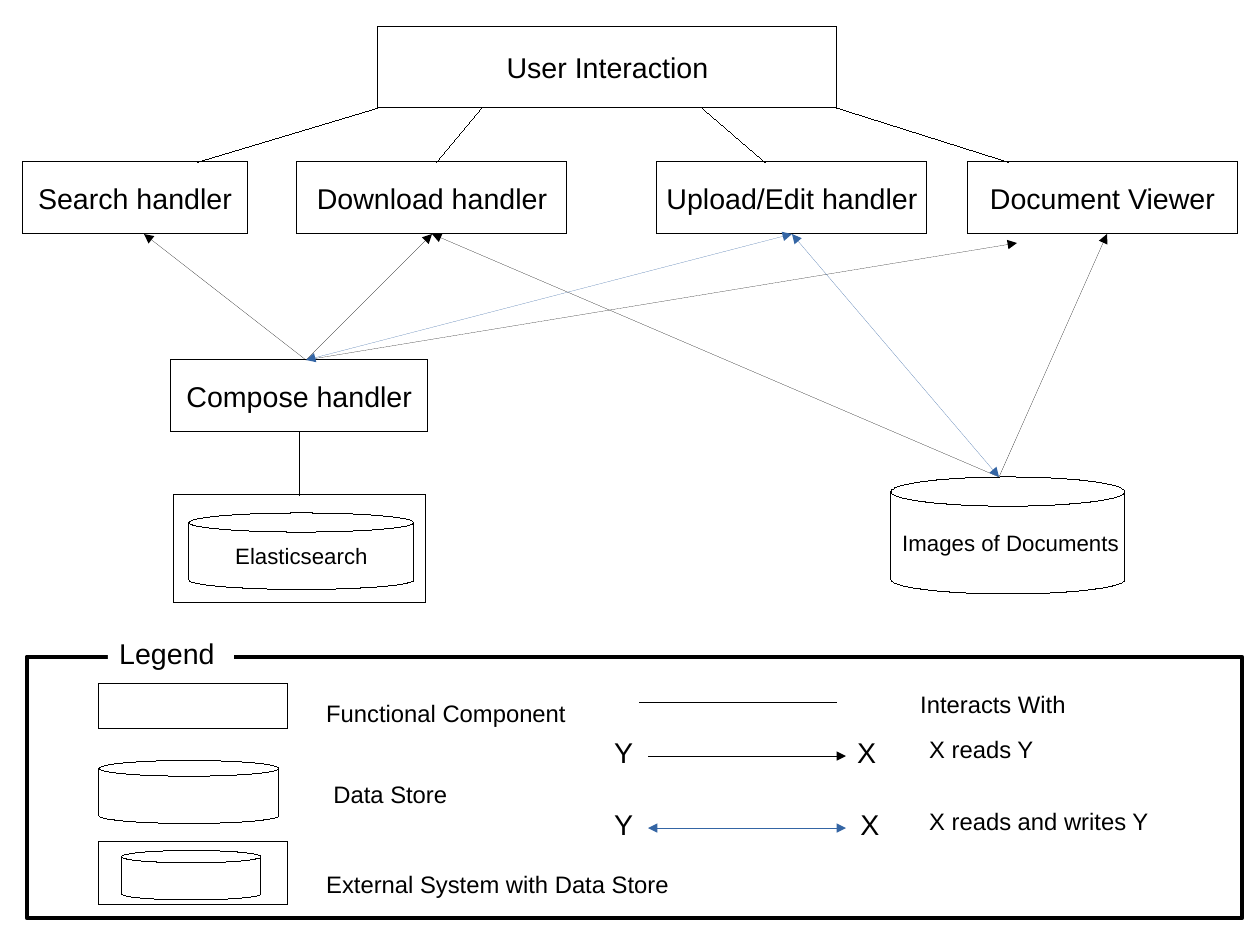
import pptx
import pptx.util
import pptx.dml.color
import pptx.enum.shapes
import pptx.enum.text
import pptx.oxml.ns
from lxml import etree

# The slide is a grid of 280 columns by 210 rows, one millimetre each
COLUMNS, ROWS = 280, 210
COLORS = {"ink": "000000", "write": "3465A4", "paper": "FFFFFF"}
FONT = "Arial"
TOP, BOTTOM = 0, 2

# Functional components: text, (column, row, columns, rows)
COMPONENTS = [
    ("User Interaction", (84, 6, 102, 18)),
    ("Search handler", (5, 36, 50, 16)),
    ("Download handler", (66, 36, 60, 16)),
    ("Upload/Edit handler", (146, 36, 60, 16)),
    ("Document Viewer", (215, 36, 60, 16)),
    ("Compose handler", (38, 80, 57, 16)),
]
EXTERNAL_SYSTEM = (38.5, 110, 56, 24)
STORES = [
    ("Elasticsearch", (42, 114, 50, 17), "CENTER"),
    ("Images of Documents", (198, 106, 52, 26), "LEFT"),
]

# Links: from, to, kind; an end is a grid point or (component, side)
COMPOSE, IMAGES = (68, 80), (222, 106)
LINKS = [
    ((84, 24), (44, 36), "interacts"),
    ((107, 24), (97, 36), "interacts"),
    ((156, 24), (170, 36), "interacts"),
    ((186, 24), (224, 36), "interacts"),
    (("Compose handler", BOTTOM), ("External system", TOP), "interacts"),
    (COMPOSE, (32, 52), "reads"),
    (COMPOSE, ("Download handler", BOTTOM), "reads"),
    (COMPOSE, (226, 54), "reads"),
    (IMAGES, ("Download handler", BOTTOM), "reads"),
    (IMAGES, (246, 52), "reads"),
    (COMPOSE, ("Upload/Edit handler", BOTTOM), "writes"),
    (IMAGES, ("Upload/Edit handler", BOTTOM), "writes"),
]
KINDS = {  # colour, arrowheads
    "interacts": ("ink", []),
    "reads": ("ink", ["tailEnd"]),
    "writes": ("write", ["headEnd", "tailEnd"]),
}

# Legend
LEGEND_FRAME = (6, 146, 270, 58)
LEGEND_TITLE = ("Legend", (24, 140, 28, 9.7))
LEGEND_SHAPES = [
    ("RECTANGLE", (22, 152, 42, 10)),
    ("CAN", (22, 169, 40, 14)),
    ("RECTANGLE", (22, 187, 42, 14)),
    ("CAN", (27, 189, 31, 11)),
]
LEGEND_LINKS = [
    ((142, 156), (186, 156), "interacts"),
    ((144, 168), (188, 168), "reads"),
    ((144, 184), (188, 184), "writes"),
]
LEGEND_TEXTS = [  # text, cell, size
    ("Functional Component", (70, 154, 66, 10), 15),
    ("Data Store", (71.6, 172, 34, 10), 15),
    ("External System with Data Store", (70, 192, 84, 8.4), 15),
    ("Interacts With", (202, 152, 66, 10), 15),
    ("X reads Y", (204, 162, 44, 10), 15),
    ("X reads and writes Y", (204, 178, 56, 10), 15),
    ("Y", (134, 162, 9, 10), 18),
    ("X", (188, 162, 9, 10), 18),
    ("Y", (134, 178, 9, 10), 18),
    ("X", (188.7, 178, 9, 10), 18),
]


def grid(*values):
    """Turn columns and rows into lengths."""
    return [pptx.util.Mm(v) for v in values]


prs = pptx.Presentation()
prs.slide_width, prs.slide_height = grid(COLUMNS, ROWS)
slide = prs.slides.add_slide(prs.slide_layouts[6])
placed = {}


def rgb(name):
    return pptx.dml.color.RGBColor.from_string(COLORS[name])


def write(sp, text, size, align="LEFT", anchor="TOP", wrap=True):
    tf = sp.text_frame
    tf.word_wrap = wrap
    tf.vertical_anchor = getattr(pptx.enum.text.MSO_ANCHOR, anchor)
    p = tf.paragraphs[0]
    p.text = text
    p.alignment = getattr(pptx.enum.text.PP_ALIGN, align)
    p.font.size = pptx.util.Pt(size)
    p.font.name = FONT
    p.font.color.rgb = rgb("ink")


def draw_line(sp, color, points=0):
    """Colour the line; a hairline needs its zero width written out."""
    sp.line.color.rgb = rgb(color)
    ln = sp._element.spPr.find(pptx.oxml.ns.qn("a:ln"))
    ln.set("w", str(int(pptx.util.Pt(points))))
    return ln


def add_box(preset, cell, fill=None, line=0):
    kind = getattr(pptx.enum.shapes.MSO_SHAPE, preset)
    sp = slide.shapes.add_shape(kind, *grid(*cell))
    sp.shadow.inherit = False
    if fill:
        sp.fill.solid()
        sp.fill.fore_color.rgb = rgb(fill)
    else:
        sp.fill.background()
    if line is None:
        sp.line.fill.background()
    else:
        draw_line(sp, "ink", line)
    return sp


def add_link(start, end, kind):
    color, heads = KINDS[kind]
    ends = (start, end)
    points = [(0, 0) if e[0] in placed else e for e in ends]
    link = slide.shapes.add_connector(
        pptx.enum.shapes.MSO_CONNECTOR.STRAIGHT, *grid(*points[0], *points[1]))
    for join, (name, side) in zip((link.begin_connect, link.end_connect), ends):
        if name in placed:
            join(placed[name], side)
    ln = draw_line(link, color)
    for head in heads:
        etree.SubElement(ln, pptx.oxml.ns.qn("a:" + head), type="triangle")
    etree.SubElement(link._element.spPr, pptx.oxml.ns.qn("a:effectLst"))


# Components and stores
for text, cell in COMPONENTS:
    placed[text] = add_box("RECTANGLE", cell)
    write(placed[text], text, 18, "CENTER", "MIDDLE", wrap=False)
placed["External system"] = add_box("RECTANGLE", EXTERNAL_SYSTEM)
for text, cell, align in STORES:
    write(add_box("CAN", cell, "paper"), text, 14, align, "MIDDLE", wrap=False)

# Legend frame, title and sample shapes
add_box("RECTANGLE", LEGEND_FRAME, line=3)
title, cell = LEGEND_TITLE
write(add_box("RECTANGLE", cell, "paper", line=None), title, 18)
for preset, cell in LEGEND_SHAPES:
    add_box(preset, cell, "paper" if preset == "CAN" else None)

# Links and legend wording
for link in LINKS + LEGEND_LINKS:
    add_link(*link)
for text, cell, size in LEGEND_TEXTS:
    write(slide.shapes.add_textbox(*grid(*cell)), text, size)

prs.save("out.pptx")
